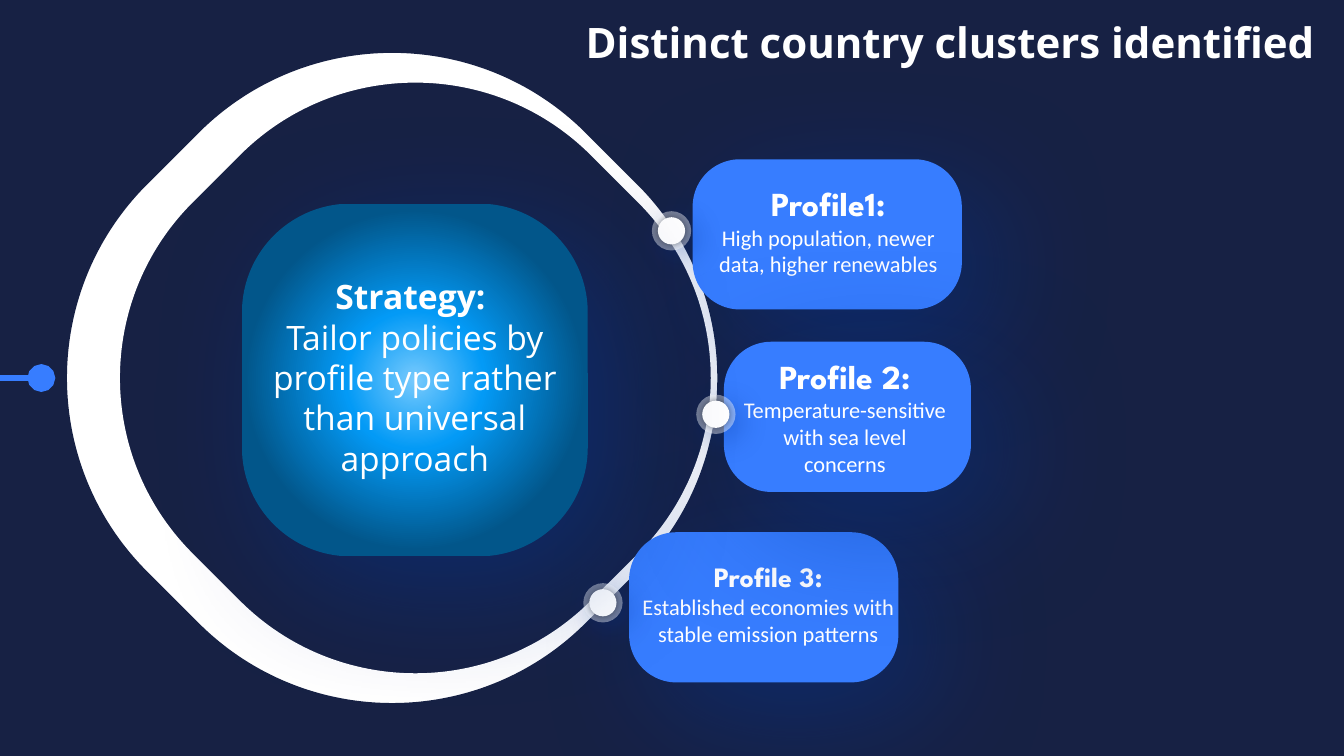
import pptx
import pptx.util
import pptx.dml.color
import pptx.enum.shapes
import pptx.enum.text
import pptx.oxml
import pptx.oxml.ns

RGB = pptx.dml.color.RGBColor
SHAPE = pptx.enum.shapes.MSO_SHAPE
WHITE = RGB(0xFF, 0xFF, 0xFF)
NAVY = RGB(0x17, 0x21, 0x44)
BLUE = RGB(0x37, 0x7D, 0xFF)
GLOW = RGB(0x00, 0x36, 0x9B)
BLACK = RGB(0, 0, 0)
SKY = RGB(0x77, 0xCA, 0xFD)
AZURE = RGB(0x03, 0x9A, 0xF6)
TEAL = RGB(0x02, 0x56, 0x8A)

WIDE, HIGH = 13.33, 7.5
MID = HIGH / 2
ROUND = 0.315
HALO, CORE = 0.39, 0.27
ARC = 0.55

TITLE = "Distinct country clusters identified"
HEAD = {"name": "Open Sans", "size": 30, "bold": True}
BODY = {"name": "Calibri", "size": 16, "bold": False}
PROFILES = [
    ("Profile1:", "High population, newer data, higher renewables", 24,
     (6.87, 1.58, 2.67, 1.49), (6.97, 1.77, 2.49, 1.04), (6.66, 2.29)),
    ("Profile 3:", "Established economies with stable emission patterns", 20,
     (6.24, 5.28, 2.67, 1.49), (6.26, 5.5, 2.72, 0.98), (5.98, 5.98)),
    ("Profile 2:", "Temperature-sensitive with sea level concerns", 24,
     (7.18, 3.39, 2.45, 1.49), (7.27, 3.48, 2.22, 1.31), (7.1, 4.11)),
]
STRATEGY = ("Strategy: ",
            "Tailor policies by profile type rather than universal approach")
RINGS = [
    {"mid": 4.12, "rad": 4.57, "side": 2.21, "half": 1.74, "bulge": 0.96, "tone": WHITE},
    {"mid": 3.89, "rad": 5.03, "side": 2.43, "half": 1.92, "bulge": 1.06, "tone": NAVY},
]
STOPS = [(0, SKY), (28, AZURE), (69, TEAL), (97, TEAL)]
CARD = (GLOW, 43, 96, 32, 45)
SOFT = (GLOW, 62, 19, 8, 45)
DARK = (BLACK, 40, 5, 0, 0)


def inch(*sizes):
    return [pptx.util.Inches(size) for size in sizes]


def xml(text):
    return pptx.oxml.parse_xml(
        text.replace(" ", " " + pptx.oxml.ns.nsdecls("a") + " ", 1))


def seek(shape, tag):
    return shape._element.spPr.find(".//" + pptx.oxml.ns.qn(tag))


def shade(shape, look):
    tone, alpha, blur, dist, turn = look
    shape.shadow.inherit = False
    seek(shape, "a:effectLst").append(xml(
        f'<a:outerShdw blurRad="{blur * 12700}" dist="{dist * 12700}" '
        f'dir="{turn * 60000}" algn="tl" rotWithShape="0"><a:srgbClr val="{tone}">'
        f'<a:alpha val="{alpha * 1000}"/></a:srgbClr></a:outerShdw>'))


def paint(shape, tone):
    shape.fill.solid()
    shape.fill.fore_color.rgb = tone
    shape.line.fill.background()


def draw(home, kind, box, tone, look):
    shape = home.add_shape(kind, *inch(*box))
    paint(shape, tone)
    shade(shape, look)
    if kind == SHAPE.ROUNDED_RECTANGLE:
        shape.adjustments[0] = ROUND
    return shape


def write(home, box, lines, align):
    frame = home.add_textbox(*inch(*box)).text_frame
    frame.word_wrap = True
    frame.auto_size = pptx.enum.text.MSO_AUTO_SIZE.SHAPE_TO_FIT_TEXT
    for spot, (text, form) in enumerate(lines):
        para = frame.add_paragraph() if spot else frame.paragraphs[0]
        para.alignment = align
        run = para.add_run()
        run.text = text
        run.font.color.rgb = WHITE
        for key, value in form.items():
            setattr(run.font, key, pptx.util.Pt(value) if key == "size" else value)


def trace(rad, curve):
    text = ""
    for turn in range(4):
        dots = []
        for x, y in curve:
            for _ in range(turn):
                x, y = y, -x
            left, top = inch(rad + x, rad + y)
            dots.append(f'<a:pt x="{left}" y="{top}"/>')
        join = "lnTo" if turn else "moveTo"
        text += f"<a:{join}>{dots[0]}</a:{join}>"
        text += f'<a:cubicBezTo>{"".join(dots[1:])}</a:cubicBezTo>'
    return text + "<a:close/>"


def ring(home, mid, rad, side, half, bulge, tone):
    left, top, size = inch(mid - rad, MID - rad, 2 * rad)
    pen = home.build_freeform(left, top)
    pen.add_line_segments([(left + size, top), (left + size, top + size),
                           (left, top + size)])
    shape = pen.convert_to_shape()
    out, peak = side + bulge, half - bulge
    hole = [(-side, -half), (-out, -peak), (-out, peak), (-side, half)]
    disc = [(-rad, 0), (-rad, ARC * rad), (-ARC * rad, rad), (0, rad)]
    old = seek(shape, "a:path")
    old.getparent().replace(old, xml(
        f'<a:path w="{size}" h="{size}">{trace(rad, hole)}{trace(rad, disc)}</a:path>'))
    paint(shape, tone)
    shape.shadow.inherit = False


def dot(home, mid):
    group = home.add_group_shape().shapes
    for size, look in ((HALO, SOFT), (CORE, DARK)):
        box = (mid[0] - size / 2, mid[1] - size / 2, size, size)
        shape = draw(group, SHAPE.OVAL, box, WHITE, look)
        if size == HALO:
            seek(shape, "a:srgbClr").append(xml('<a:alpha val="42000"/>'))


def lead(home):
    line = home.add_connector(pptx.enum.shapes.MSO_CONNECTOR.STRAIGHT,
                              *inch(0.41, MID, -0.89, MID))
    line.line.color.rgb = BLUE
    line.line.width = pptx.util.Pt(4)
    seek(line, "a:ln").append(xml('<a:headEnd type="oval" w="lg" len="lg"/>'))
    line._element.spPr.append(xml("<a:effectLst />"))


def hub(home):
    group = home.add_group_shape().shapes
    shape = draw(group, SHAPE.ROUNDED_RECTANGLE, (2.4, 2.02, 3.43, 3.5), AZURE, CARD)
    stops = "".join(f'<a:gs pos="{spot * 1000}"><a:srgbClr val="{tone}"/></a:gs>'
                    for spot, tone in STOPS)
    shape._element.spPr.replace(seek(shape, "a:solidFill"), xml(
        f'<a:gradFill rotWithShape="1"><a:gsLst>{stops}</a:gsLst><a:path path="circle">'
        '<a:fillToRect l="50000" t="50000" r="50000" b="50000"/></a:path></a:gradFill>'))
    big = HEAD | {"size": 24}
    write(group, (2.58, 2.69, 3.07, 2.12),
          [(STRATEGY[0], big), (STRATEGY[1], big | {"bold": False})],
          pptx.enum.text.PP_ALIGN.CENTER)


def main():
    deck = pptx.Presentation()
    deck.slide_width, deck.slide_height = inch(WIDE, HIGH)
    slide = deck.slides.add_slide(deck.slide_layouts[6])
    slide.background.fill.solid()
    slide.background.fill.fore_color.rgb = NAVY
    home = slide.shapes
    for band in RINGS:
        ring(home, **band)
    lead(home)
    write(home, (5.71, 0.11, 7.62, 1.11), [(TITLE, HEAD)],
          pptx.enum.text.PP_ALIGN.LEFT)
    for name, note, size, card, area, mid in PROFILES:
        draw(home, SHAPE.ROUNDED_RECTANGLE, card, BLUE, CARD)
        top = {"name": "League Spartan", "size": size, "bold": True}
        write(home, area, [(name, top), (note, BODY)], pptx.enum.text.PP_ALIGN.CENTER)
        dot(home, mid)
    hub(home)
    deck.save("out.pptx")


if __name__ == "__main__":
    main()
